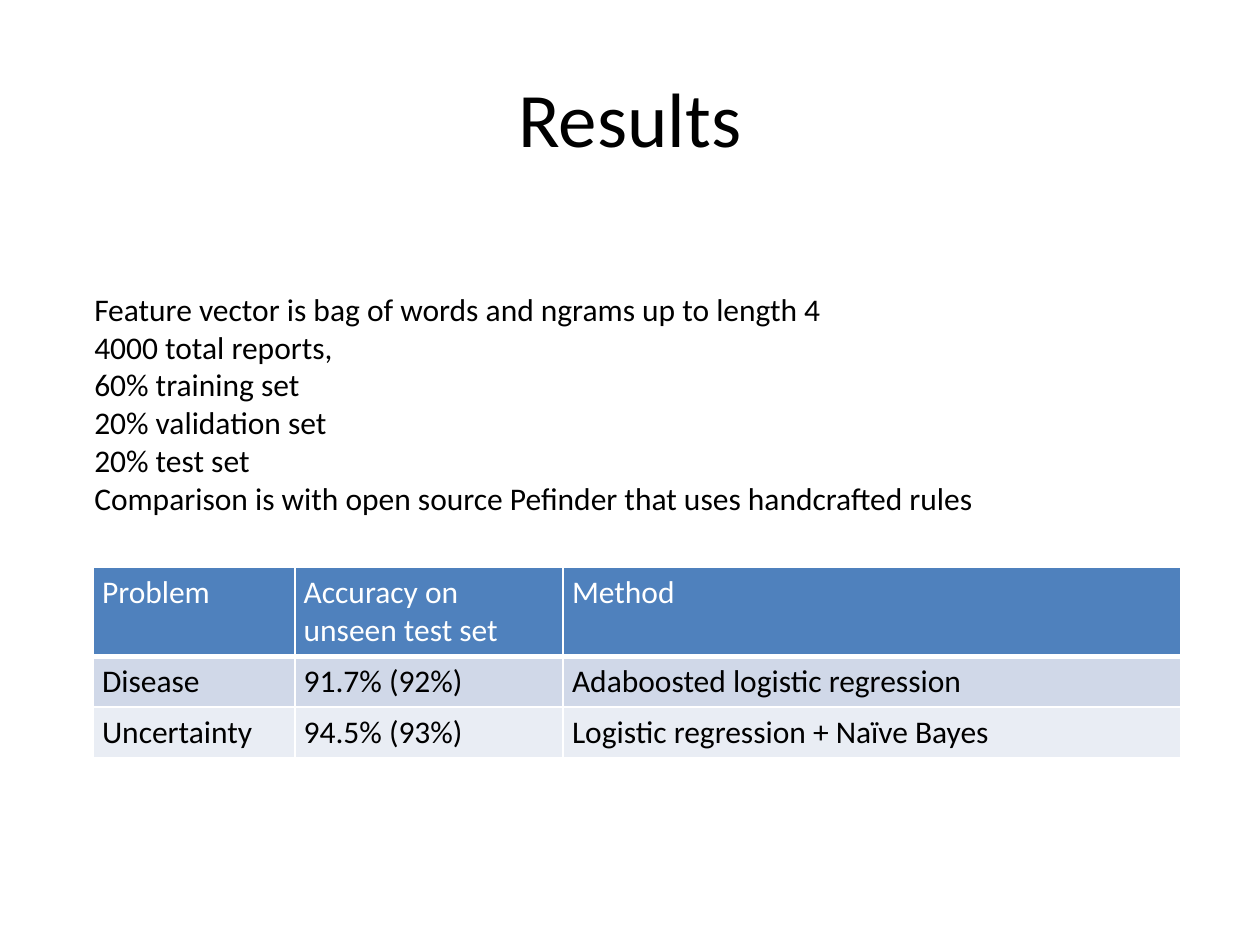
from dataclasses import dataclass

from lxml import etree
from pptx import Presentation
from pptx.dml.color import RGBColor
from pptx.enum.text import MSO_ANCHOR, PP_ALIGN
from pptx.oxml.ns import qn
from pptx.util import Inches, Pt

CENTER, LEFT = PP_ALIGN.CENTER, PP_ALIGN.LEFT
MIDDLE, TOP = MSO_ANCHOR.MIDDLE, MSO_ANCHOR.TOP


@dataclass(frozen=True)
class Theme:
    font: str = "Calibri"
    title_size: int = 44
    body_size: int = 18
    ink: str = "000000"
    paper: str = "FFFFFF"
    header: str = "4F81BD"
    bands: tuple = ("D0D8E8", "E9EDF4")
    rule: int = 1
    header_rule: int = 3


THEME = Theme()

NOTES = [
    "Feature vector is bag of words and ngrams up to length 4",
    "4000 total reports,",
    "60% training set",
    "20% validation set",
    "20% test set",
    "Comparison is with open source Pefinder that uses handcrafted rules",
]
RESULTS = [
    ["Problem", "Accuracy on unseen test set", "Method"],
    ["Disease", "91.7% (92%)", "Adaboosted logistic regression"],
    ["Uncertainty", "94.5% (93%)", "Logistic regression + Naïve Bayes"],
]
COLUMNS = [1.6, 2.13, 4.9]
ROWS = [0.71, 0.4, 0.4]


def write(frame, lines, size=THEME.body_size, color=THEME.ink, align=LEFT):
    """Fill a text frame with one paragraph per line."""
    for index, line in enumerate(lines):
        para = frame.paragraphs[0] if index == 0 else frame.add_paragraph()
        para.alignment = align
        span = para.add_run()
        span.text = line
        span.font.name = THEME.font
        span.font.size = Pt(size)
        span.font.color.rgb = RGBColor.from_string(color)


def add_text(page, area, lines, anchor=TOP, wrap=True, **text_format):
    box = page.shapes.add_textbox(*(Inches(length) for length in area))
    box.text_frame.word_wrap = wrap
    box.text_frame.vertical_anchor = anchor
    write(box.text_frame, lines, **text_format)


def set_borders(cell, color, widths):
    """Draw the left, right, top and bottom edges, ahead of the cell fill."""
    properties = cell._tc.get_or_add_tcPr()
    for index, (side, width) in enumerate(zip("LRTB", widths)):
        line = etree.Element(qn(f"a:ln{side}"), w=str(Pt(width)))
        fill = etree.SubElement(line, qn("a:solidFill"))
        etree.SubElement(fill, qn("a:srgbClr"), val=color)
        properties.insert(index, line)


def add_results(page, left, top):
    """Table with a dark header row and banded body rows."""
    table = page.shapes.add_table(
        len(ROWS), len(COLUMNS), Inches(left), Inches(top),
        Inches(sum(COLUMNS)), Inches(sum(ROWS))).table
    for column, width in zip(table.columns, COLUMNS):
        column.width = Inches(width)
    for row, height in zip(table.rows, ROWS):
        row.height = Inches(height)
    for row_index, values in enumerate(RESULTS):
        is_header = row_index == 0
        fill = THEME.header if is_header else THEME.bands[(row_index - 1) % 2]
        above = THEME.header_rule if row_index == 1 else THEME.rule
        below = THEME.header_rule if is_header else THEME.rule
        for column_index, value in enumerate(values):
            cell = table.cell(row_index, column_index)
            cell.margin_left = cell.margin_right = Inches(0.07)
            cell.margin_top = cell.margin_bottom = Inches(0.05)
            cell.fill.solid()
            cell.fill.fore_color.rgb = RGBColor.from_string(fill)
            set_borders(cell, THEME.paper, (THEME.rule, THEME.rule, above, below))
            write(cell.text_frame, [value],
                  color=THEME.paper if is_header else THEME.ink)


def build_results_page(deck, width, height):
    page = deck.slides.add_slide(deck.slide_layouts[6])
    # Title
    add_text(page, (0.05 * width, 0.04 * height, 0.9 * width, height / 6),
             ["Results"], anchor=MIDDLE, size=THEME.title_size, align=CENTER)
    # Experiment notes
    add_text(page, (0.065 * width, 0.3 * height, 0.73 * width, 0.26 * height),
             NOTES, wrap=False)
    # Accuracy table
    add_results(page, 0.074 * width, 0.6 * height)


deck = Presentation()
deck.slide_width, deck.slide_height = Inches(10), Inches(7.5)
build_results_page(deck, 10, 7.5)
deck.save("out.pptx")
